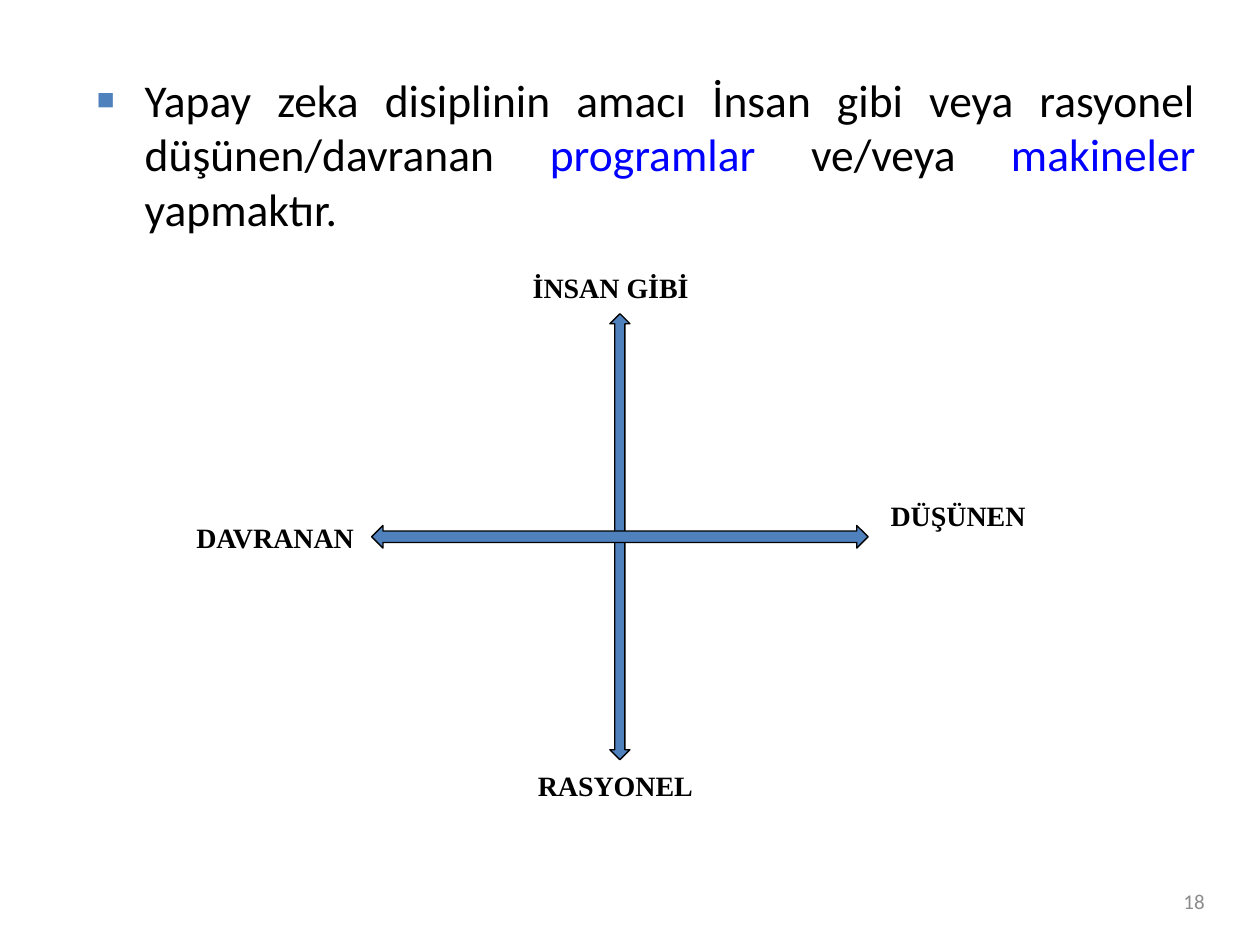
from dataclasses import dataclass
from typing import NamedTuple

from lxml.etree import SubElement
from pptx import Presentation
from pptx.dml.color import RGBColor
from pptx.enum.shapes import MSO_SHAPE
from pptx.enum.text import MSO_ANCHOR, PP_ALIGN
from pptx.oxml.ns import qn
from pptx.util import Inches, Pt


@dataclass(frozen=True)
class Theme:
    black: str = "000000"
    highlight: str = "0000FF"
    accent: str = "4F81BD"
    grey: str = "8C8C8C"
    body_font: str = "Calibri"
    label_font: str = "Times New Roman"
    body_size: float = 26
    label_size: float = 16
    number_size: float = 12
    outline: float = 0.75


class Frame(NamedTuple):
    left: float
    top: float
    width: float
    height: float


class Span(NamedTuple):
    text: str
    color: str


class Label(NamedTuple):
    text: str
    left: float
    top: float


class Arrow(NamedTuple):
    kind: MSO_SHAPE
    frame: Frame


THEME = Theme()

STATEMENT = [
    Span("Yapay zeka disiplinin amacı İnsan gibi veya rasyonel düşünen/davranan ", THEME.black),
    Span("programlar ", THEME.highlight),
    Span("ve/veya ", THEME.black),
    Span("makineler ", THEME.highlight),
    Span("yapmaktır.", THEME.black),
]
ARROWS = [
    Arrow(MSO_SHAPE.UP_DOWN_ARROW, Frame(4.84, 2.49, 0.16, 3.54)),
    Arrow(MSO_SHAPE.LEFT_RIGHT_ARROW, Frame(2.95, 4.17, 3.94, 0.18)),
]
LABELS = [
    Label("İNSAN GİBİ", 4.13, 2.1),
    Label("RASYONEL", 4.17, 6.05),
    Label("DÜŞÜNEN", 6.97, 3.91),
    Label("DAVRANAN", 1.46, 4.08),
]


def add_text(page, frame: Frame, spans: list[Span], *, font: str, size: float,
             bold: bool = False, align=PP_ALIGN.LEFT, anchor=MSO_ANCHOR.TOP):
    """Add a wrapped text box with one paragraph and return that paragraph."""
    box = page.shapes.add_textbox(*map(Inches, frame))
    box.text_frame.word_wrap = True
    box.text_frame.vertical_anchor = anchor
    para = box.text_frame.paragraphs[0]
    para.alignment = align
    for span in spans:
        run = para.add_run()
        run.text = span.text
        run.font.name = font
        run.font.size = Pt(size)
        run.font.bold = bold
        run.font.color.rgb = RGBColor.from_string(span.color)
    return para


def add_bullet(para, *, char: str, color: str, percent: int, indent: float) -> None:
    """Give the paragraph a coloured bullet and a hanging indent."""
    properties = para._p.get_or_add_pPr()
    properties.set("marL", str(Inches(indent)))
    properties.set("indent", str(-Inches(indent)))
    SubElement(SubElement(properties, qn("a:buClr")), qn("a:srgbClr"), val=color)
    SubElement(properties, qn("a:buSzPct"), val=str(percent * 1000))
    SubElement(properties, qn("a:buFont"), typeface="Arial")
    SubElement(properties, qn("a:buChar"), char=char)


def add_arrow(page, arrow: Arrow) -> None:
    shape = page.shapes.add_shape(arrow.kind, *map(Inches, arrow.frame))
    shape.shadow.inherit = False
    shape.fill.solid()
    shape.fill.fore_color.rgb = RGBColor.from_string(THEME.accent)
    shape.line.color.rgb = RGBColor.from_string(THEME.black)
    shape.line.width = Pt(THEME.outline)


deck = Presentation()
deck.slide_width, deck.slide_height = Inches(10), Inches(7.5)
page = deck.slides.add_slide(deck.slide_layouts[6])

# Opening statement
statement = add_text(page, Frame(0.67, 0.52, 8.92, 1.51), STATEMENT, font=THEME.body_font,
                     size=THEME.body_size, align=PP_ALIGN.JUSTIFY)
statement.space_before = Pt(0.2 * THEME.body_size)
add_bullet(statement, char="■", color=THEME.accent, percent=65, indent=0.38)

# Crossed axes and their end labels
for arrow in ARROWS:
    add_arrow(page, arrow)
for label in LABELS:
    add_text(page, Frame(label.left, label.top, 1.5, 0.37), [Span(label.text, THEME.black)],
             font=THEME.label_font, size=THEME.label_size, bold=True)

# Page number
add_text(page, Frame(7.33, 6.95, 2.33, 0.4), [Span("18", THEME.grey)], font=THEME.body_font,
         size=THEME.number_size, align=PP_ALIGN.RIGHT, anchor=MSO_ANCHOR.MIDDLE)

deck.save("out.pptx")
